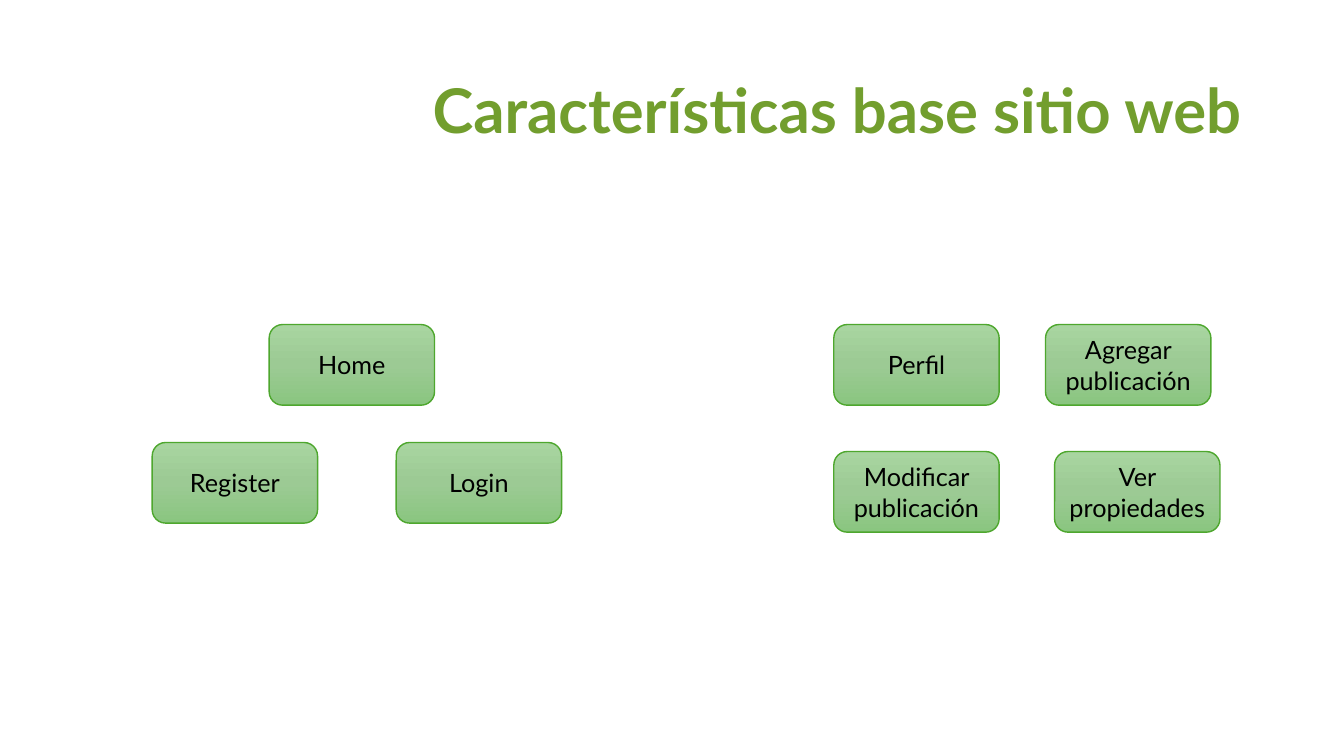
from copy import deepcopy
from dataclasses import dataclass

from pptx import Presentation
from pptx import util as u
from pptx.dml.color import RGBColor
from pptx.enum import shapes, text
from pptx.oxml.ns import qn


@dataclass(frozen=True)
class Theme:
    font: str = "Lato"
    title_size: int = 44
    label_size: int = 18
    title_color: str = "729E2E"
    label_color: str = "000000"
    border: str = "4EA72E"
    gradient: tuple = ("A8D5A0", "9CCA94", "8AC680")


THEME = Theme()
CARD_WIDTH, CARD_HEIGHT = 1.64, 0.8


def write(box, words, size, color, align, bold=False):
    frame = box.text_frame
    frame.text = words
    frame.word_wrap = True
    frame.vertical_anchor = text.MSO_ANCHOR.MIDDLE
    para = frame.paragraphs[0]
    para.alignment = align
    for span in para.runs:
        span.font.name = THEME.font
        span.font.size = u.Pt(size)
        span.font.bold = bold
        span.font.color.rgb = RGBColor.from_string(color)
    return para


def paint_gradient(shape):
    shape.fill.gradient()
    shape.fill.gradient_angle = 270
    stop_list = shape.element.spPr.find(qn("a:gradFill")).find(qn("a:gsLst"))
    stop_list.insert(1, deepcopy(stop_list[0]))
    last = len(THEME.gradient) - 1
    for index, (stop, color) in enumerate(zip(shape.fill.gradient_stops, THEME.gradient)):
        stop.position = index / last
        stop.color.rgb = RGBColor.from_string(color)


def add_title(page, left, top, width, height, words):
    box = page.shapes.add_textbox(*map(u.Inches, (left, top, width, height)))
    para = write(box, words, THEME.title_size, THEME.title_color,
                 text.PP_ALIGN.RIGHT, bold=True)
    para.line_spacing = 0.9


def add_card(page, left, top, label):
    card = page.shapes.add_shape(
        shapes.MSO_SHAPE.ROUNDED_RECTANGLE,
        *map(u.Inches, (left, top, CARD_WIDTH, CARD_HEIGHT)))
    card.shadow.inherit = False
    paint_gradient(card)
    card.line.color.rgb = RGBColor.from_string(THEME.border)
    card.line.width = u.Pt(1)
    write(card, label, THEME.label_size, THEME.label_color, text.PP_ALIGN.CENTER)


def add_card_group(page, left, top, cards):
    for across, down, label in cards:
        add_card(page, left + across, top + down, label)


def main():
    deck = Presentation()
    deck.slide_width, deck.slide_height = u.Inches(13.33), u.Inches(7.5)
    page = deck.slides.add_slide(deck.slide_layouts[6])

    add_title(page, 0.92, 0.4, 11.5, 1.45, "Características base sitio web")
    add_card_group(page, 1.51, 3.22, [
        (1.16, 0, "Home"),
        (0, 1.17, "Register"),
        (2.42, 1.17, "Login"),
    ])
    add_card_group(page, 8.27, 3.22, [
        (0, 0, "Perfil"),
        (0, 1.26, "Modificar publicación"),
        (2.1, 0, "Agregar publicación"),
        (2.19, 1.26, "Ver propiedades"),
    ])

    deck.save("out.pptx")


if __name__ == "__main__":
    main()
